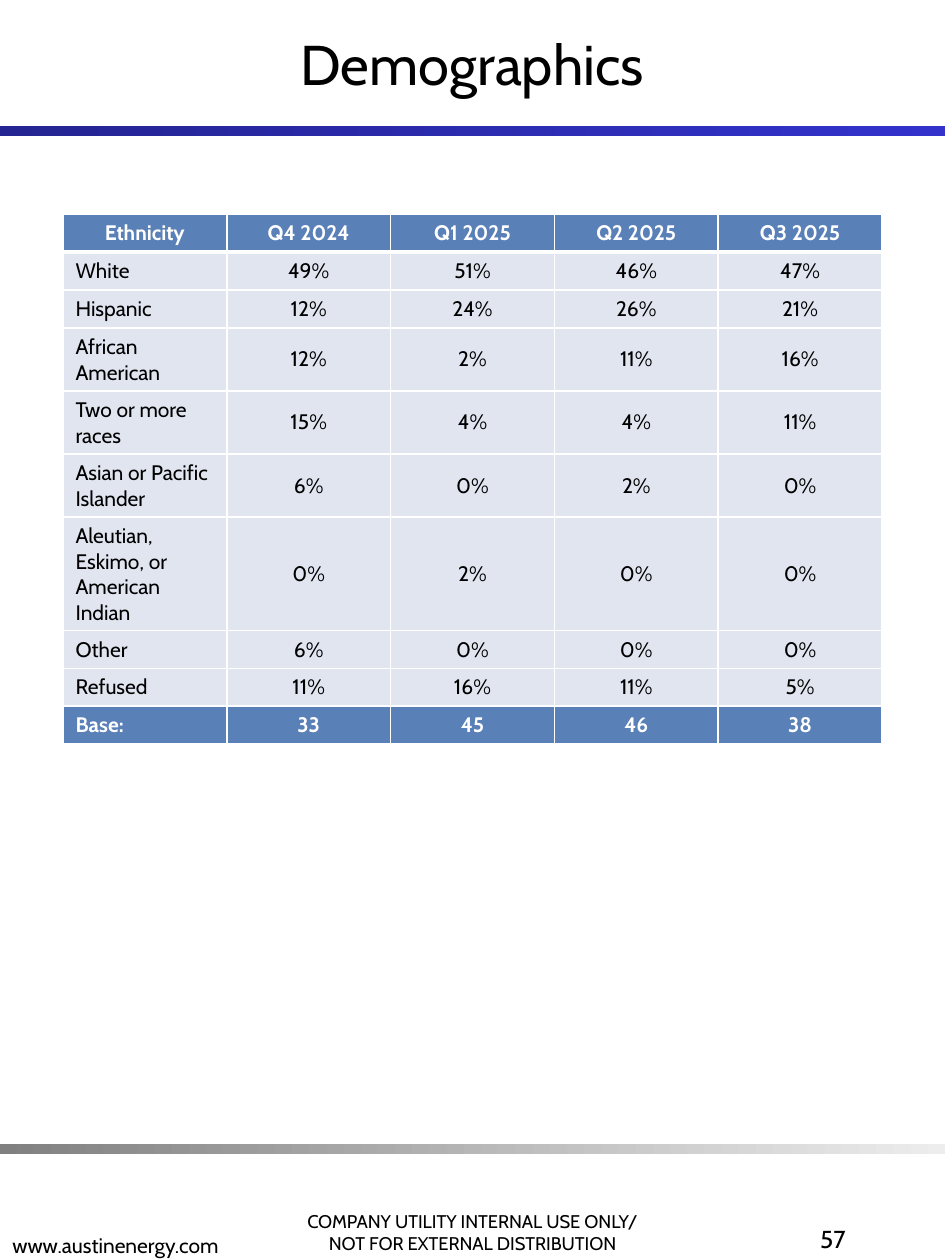
from lxml.etree import SubElement
from pptx import Presentation
from pptx.dml.color import RGBColor
from pptx.enum.shapes import MSO_SHAPE
from pptx.enum.text import MSO_ANCHOR, MSO_AUTO_SIZE, PP_ALIGN
from pptx.oxml import parse_xml
from pptx.oxml.ns import nsdecls
from pptx.util import Cm, Pt


def color(value):
    return RGBColor.from_string(value)


def write(frame, text, size=12, fill="000000", bold=False, align=PP_ALIGN.LEFT):
    frame.word_wrap = True
    frame.text = text
    for para in frame.paragraphs:
        para.alignment = align
        for span in para.runs:
            span.font.name = "Cabin"
            span.font.size = Pt(size)
            span.font.bold = bold
            span.font.color.rgb = color(fill)


deck = Presentation()
deck.slide_width, deck.slide_height = Cm(19.05), Cm(25.4)
page = deck.slides.add_slide(deck.slide_layouts[5])

for top, start, end in [(2.54, "242492", "3333CC"), (23.06, "808080", "EDEDED")]:
    bar = page.shapes.add_shape(MSO_SHAPE.RECTANGLE, 0, Cm(top), deck.slide_width, Cm(0.2))
    bar.shadow.inherit = False
    bar.line.fill.background()
    bar.fill.gradient()
    bar.fill.gradient_angle = 0
    for stop, value in zip(bar.fill.gradient_stops, (start, end)):
        stop.color.rgb = color(value)

title = page.shapes.title
title.left, title.top, title.width, title.height = 0, 0, deck.slide_width, Cm(2.54)
write(title.text_frame, "Demographics", size=32, align=PP_ALIGN.CENTER)
title.text_frame.auto_size = MSO_AUTO_SIZE.NONE
title.text_frame.vertical_anchor = MSO_ANCHOR.MIDDLE

notice = "COMPANY UTILITY INTERNAL USE ONLY/\nNOT FOR EXTERNAL DISTRIBUTION"
footers = [
    (5.48, 23.7, 8.1, notice, 10.5, PP_ALIGN.CENTER, MSO_ANCHOR.BOTTOM),
    (0, 23.78, 8.1, "www.austinenergy.com", 12, PP_ALIGN.LEFT, MSO_ANCHOR.BOTTOM),
    (13.34, 24.55, 3.96, "57", 14, PP_ALIGN.RIGHT, MSO_ANCHOR.TOP),
]
for left, top, width, text, size, align, anchor in footers:
    box = page.shapes.add_textbox(Cm(left), Cm(top), Cm(width), Cm(1.7))
    write(box.text_frame, text, size=size, align=align)
    box.text_frame.vertical_anchor = anchor

rows = [
    ("Ethnicity", "Q4 2024", "Q1 2025", "Q2 2025", "Q3 2025"),
    ("White", "49%", "51%", "46%", "47%"),
    ("Hispanic", "12%", "24%", "26%", "21%"),
    ("African American", "12%", "2%", "11%", "16%"),
    ("Two or more races", "15%", "4%", "4%", "11%"),
    ("Asian or Pacific Islander", "6%", "0%", "2%", "0%"),
    ("Aleutian, Eskimo, or American Indian", "0%", "2%", "0%", "0%"),
    ("Other", "6%", "0%", "0%", "0%"),
    ("Refused", "11%", "16%", "11%", "5%"),
    ("Base:", "33", "45", "46", "38"),
]
table = page.shapes.add_table(
    len(rows), len(rows[0]), Cm(1.27), Cm(4.32), Cm(16.51), Cm(6.35)
).table
for r, row in enumerate(rows):
    strong = r in (0, len(rows) - 1)
    for c, text in enumerate(row):
        cell = table.cell(r, c)
        centered = r == 0 or c > 0
        write(
            cell.text_frame,
            text,
            fill="FFFFFF" if strong else "000000",
            bold=strong,
            align=PP_ALIGN.CENTER if centered else PP_ALIGN.LEFT,
        )
        cell.vertical_anchor = MSO_ANCHOR.MIDDLE
        properties = cell._tc.get_or_add_tcPr()
        for side in "LRTB":
            heavy = (r, side) in ((0, "B"), (1, "T"))
            border = parse_xml(f'<a:ln{side} {nsdecls("a")} w="{Pt(3 if heavy else 1)}"/>')
            solid = SubElement(border, border.tag.replace(f"ln{side}", "solidFill"))
            SubElement(solid, border.tag.replace(f"ln{side}", "srgbClr"), val="FFFFFF")
            properties.append(border)
        cell.fill.solid()
        cell.fill.fore_color.rgb = color("5A80B8" if strong else "E0E5F0")

deck.save("out.pptx")
